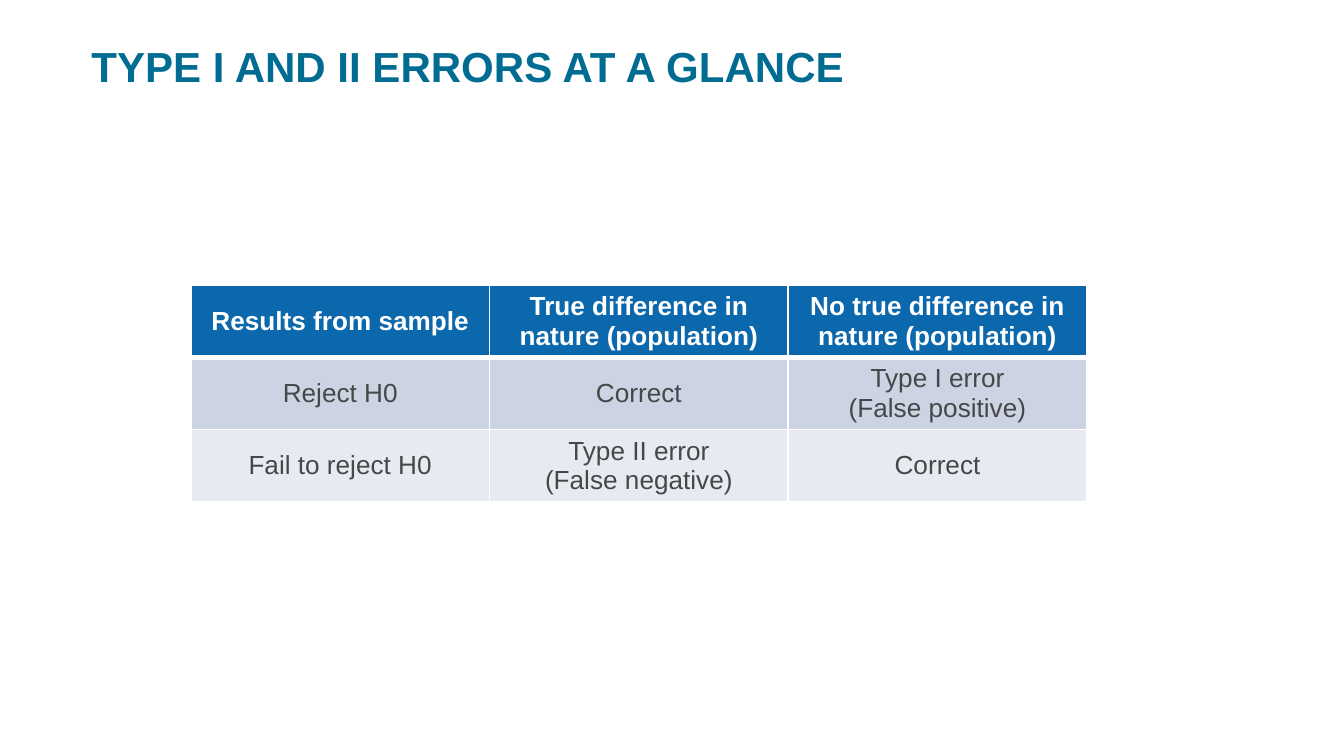
import pptx
import pptx.util
import pptx.dml.color
import pptx.enum.text
from lxml import etree
from pptx.oxml.ns import qn

Pt = pptx.util.Pt
FONT = "Arial"
COLORS = {
    "white": "FFFFFF",
    "title": "006C92",
    "header": "0C68AC",
    "text": "464749",
    "band1": "CCD4E3",
    "band2": "E7EBF1",
}
ROWS = [
    ["Results from sample", "True difference in nature (population)",
     "No true difference in nature (population)"],
    ["Reject H0", "Correct", "Type I error\n(False positive)"],
    ["Fail to reject H0", "Type II error\n(False negative)", "Correct"],
]


def rgb(name):
    return pptx.dml.color.RGBColor.from_string(COLORS[name])


def add_run(p, text, size, color, bold):
    r = p.add_run()
    r.text = text
    r.font.name = FONT
    r.font.size = Pt(size)
    r.font.bold = bold
    r.font.color.rgb = rgb(color)


def set_borders(cell, bottom):
    tcPr = cell._tc.get_or_add_tcPr()
    for side, width in (("L", 1), ("R", 1), ("T", 1), ("B", bottom)):
        ln = etree.SubElement(tcPr, qn(f"a:ln{side}"), w=str(Pt(width)))
        fill = etree.SubElement(ln, qn("a:solidFill"))
        etree.SubElement(fill, qn("a:srgbClr"), val=COLORS["white"])


def place_title(s, x, y, w, h):
    sp = s.shapes.title
    sp.left, sp.top, sp.width, sp.height = Pt(x), Pt(y), Pt(w), Pt(h)
    sp.fill.solid()
    sp.fill.fore_color.rgb = rgb("white")
    tf = sp.text_frame
    tf.word_wrap = True
    tf.auto_size = pptx.enum.text.MSO_AUTO_SIZE.NONE
    tf.vertical_anchor = pptx.enum.text.MSO_ANCHOR.MIDDLE
    tf.margin_left = Pt(36)
    tf.margin_top = tf.margin_right = tf.margin_bottom = 0
    p = tf.paragraphs[0]
    p.alignment = pptx.enum.text.PP_ALIGN.LEFT
    p.line_spacing = Pt(19.5)
    add_run(p, "TYPE I AND II ERRORS AT A GLANCE", 22.5, "title", True)


def place_table(s, x, y, w, h):
    table = s.shapes.add_table(len(ROWS), len(ROWS[0]),
                               Pt(x), Pt(y), Pt(w), Pt(h)).table
    for i, row in enumerate(ROWS):
        header = i == 0
        for j, text in enumerate(row):
            cell = table.cell(i, j)
            # Borders, with a thick rule under the header
            set_borders(cell, 3 if header else 1)
            if i == 1:
                cell._tc.tcPr.find(qn("a:lnT")).set("w", str(Pt(3)))
            cell.fill.solid()
            cell.fill.fore_color.rgb = rgb(("header", "band1", "band2")[i])
            cell.vertical_anchor = pptx.enum.text.MSO_ANCHOR.MIDDLE
            # Text, one paragraph per line
            tf = cell.text_frame
            for k, line in enumerate(text.split("\n")):
                p = tf.add_paragraph() if k else tf.paragraphs[0]
                p.alignment = pptx.enum.text.PP_ALIGN.CENTER
                add_run(p, line, 14, "white" if header else "text", header)


def main():
    prs = pptx.Presentation()
    prs.slide_width, prs.slide_height = Pt(720), Pt(405)
    s = prs.slides.add_slide(prs.slide_layouts[5])
    place_title(s, 13, 15, 686, 48)
    place_table(s, 102.3, 152.8, 480, 115.5)
    prs.save("out.pptx")


if __name__ == "__main__":
    main()
